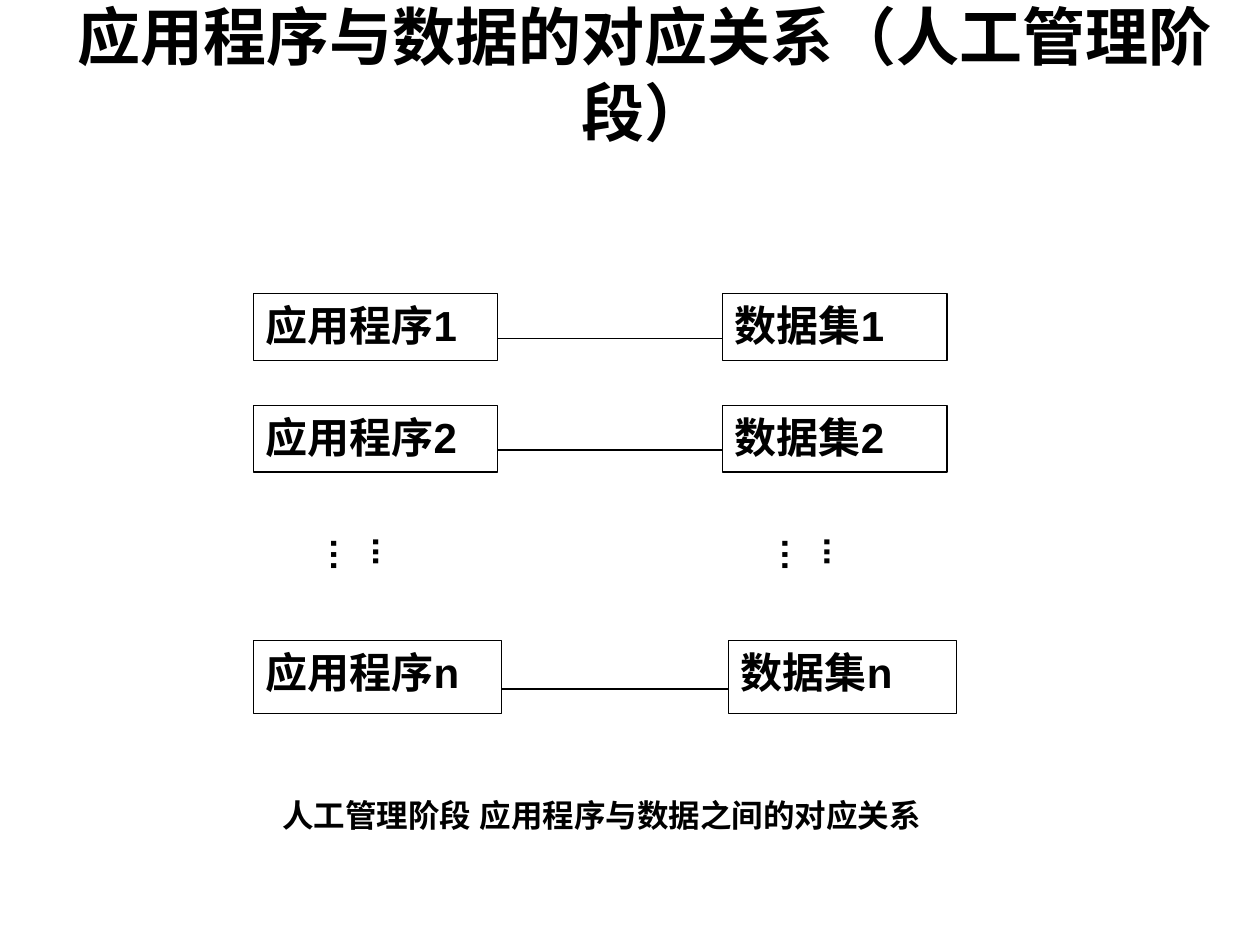
import pptx
import pptx.util
import pptx.dml.color
import pptx.enum.shapes
import pptx.enum.text
import pptx.oxml
import pptx.oxml.ns

Pt = pptx.util.Pt
ANCHOR = pptx.enum.text.MSO_ANCHOR
ALIGN = pptx.enum.text.PP_ALIGN
COLORS = {"ink": "000000", "paper": "FFFFFF"}
FRAME = {
    "word_wrap": True,
    "vertical_anchor": ANCHOR.TOP,
    "margin_left": Pt(7.2),
    "margin_right": Pt(7.2),
    "margin_top": Pt(3.6),
    "margin_bottom": Pt(3.6),
}
ELLIPSIS_FRAME = {
    "margin_left": Pt(3.6),
    "margin_right": Pt(3.6),
    "margin_top": Pt(7.2),
    "margin_bottom": Pt(7.2),
}


def rgb(name):
    return pptx.dml.color.RGBColor.from_string(COLORS[name])


def apply(target, values):
    for key, value in values.items():
        setattr(target, key, value)


def write(holder, text, size, frame={}, paragraph={}):
    text_frame = holder.text_frame
    apply(text_frame, {**FRAME, **frame})
    line = text_frame.paragraphs[0]
    apply(line, {"alignment": ALIGN.LEFT, **paragraph})
    run = line.add_run()
    run.text = text
    apply(run.font, {"size": Pt(size), "bold": True, "name": "Arial"})
    run.font.color.rgb = rgb("ink")
    properties = run.font._element
    for tag in ("a:ea", "a:cs"):
        face = pptx.oxml.parse_xml(
            f'<{tag} {pptx.oxml.ns.nsdecls("a")} typeface="Arial"/>')
        properties.append(face)


def add_text(slide, box, text, size, frame={}, paragraph={}):
    holder = slide.shapes.add_textbox(*map(Pt, box))
    write(holder, text, size, frame, paragraph)
    return holder


def add_node(slide, box, label):
    node = slide.shapes.add_shape(
        pptx.enum.shapes.MSO_SHAPE.RECTANGLE, *map(Pt, box))
    node.shadow.inherit = False
    node.fill.solid()
    node.fill.fore_color.rgb = rgb("paper")
    node.line.color.rgb = rgb("ink")
    node.line.width = Pt(0.75)
    write(node, label, 24)


def add_link(slide, start, end, y):
    link = slide.shapes.add_connector(
        pptx.enum.shapes.MSO_CONNECTOR.STRAIGHT, Pt(start), Pt(y), Pt(end), Pt(y))
    link.line.color.rgb = rgb("ink")
    link.line.width = Pt(0.75)
    link._element.spPr.append(pptx.oxml.parse_xml(
        f'<a:effectLst {pptx.oxml.ns.nsdecls("a")}/>'))


def add_pair(slide, box, suffix, program_width, data_width):
    left, top, width, height = box
    data_left = left + width - data_width
    add_node(slide, (left, top, program_width, height), f"应用程序{suffix}")
    add_node(slide, (data_left, top, data_width, height), f"数据集{suffix}")
    add_link(slide, left + program_width, data_left, top + height * 0.67)


def add_ellipsis(slide, box):
    dots = add_text(slide, box, "...…", 20, ELLIPSIS_FRAME,
                    {"space_before": Pt(12.5)})
    dots.text_frame._txBody.bodyPr.set("vert", "eaVert")


def add_mapping(slide, box):
    left, top, width, height = box
    for row in range(2):
        add_pair(slide, (left, top + row * 63.8, width - 5.4, 38.2),
                 row + 1, 139.7, 128.2)
    for offset in (54, 311.8):
        add_ellipsis(slide, (left + offset, top + 132.2, 38.2, 48.2))
    add_pair(slide, (left, top + height - 41.8, width, 41.8), "n", 141.8, 130.3)


def add_title(slide, box):
    add_text(slide, box, "应用程序与数据的对应关系（人工管理阶段）", 36,
             {"vertical_anchor": ANCHOR.MIDDLE}, {"alignment": ALIGN.CENTER})


def add_caption(slide, box):
    add_text(slide, box, "人工管理阶段 应用程序与数据之间的对应关系", 18)


def main():
    deck = pptx.Presentation()
    apply(deck, {"slide_width": Pt(720), "slide_height": Pt(540)})
    slide = deck.slides.add_slide(deck.slide_layouts[6])
    add_title(slide, (8.6, -2.9, 720, 89.3))
    add_mapping(slide, (144.7, 167.8, 401.8, 239.8))
    add_caption(slide, (154.1, 451.4, 436.3, 28.8))
    deck.save("out.pptx")


if __name__ == "__main__":
    main()
